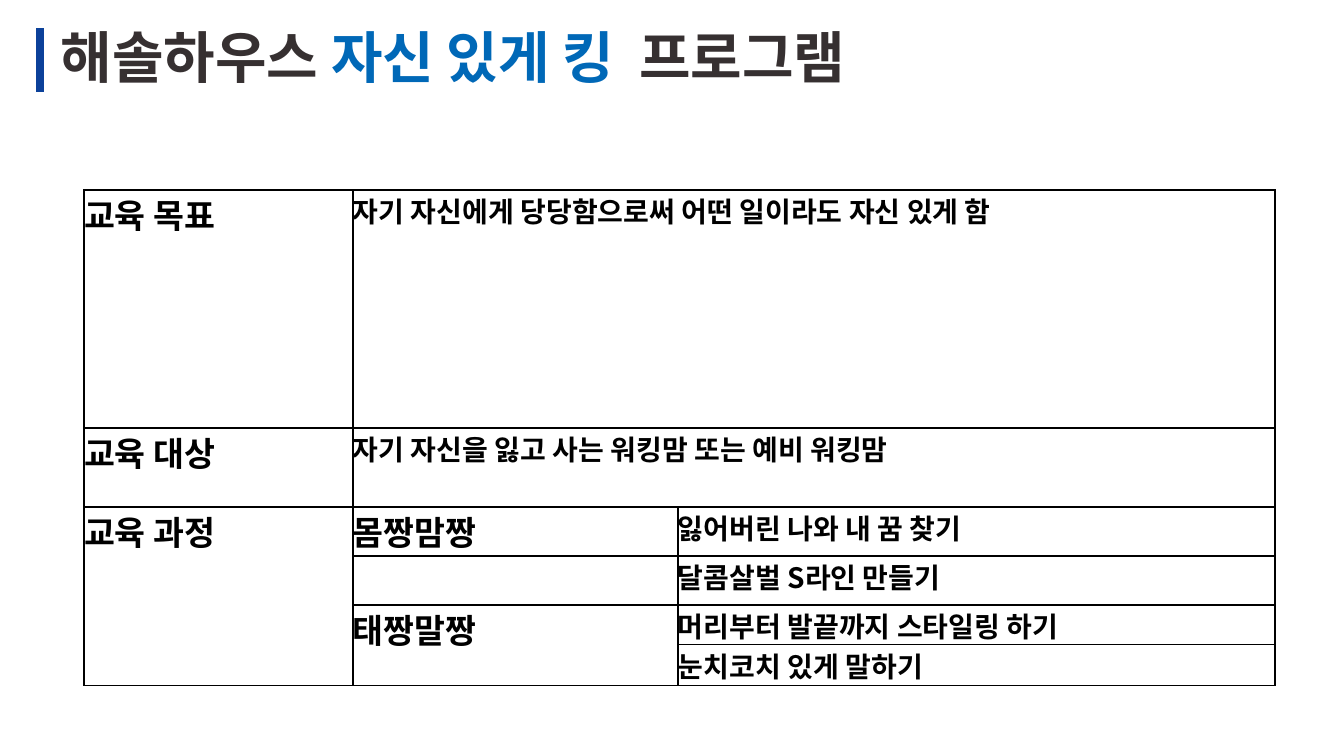
from lxml.etree import SubElement
from pptx import Presentation
from pptx.dml.color import RGBColor
from pptx.enum.shapes import MSO_CONNECTOR as Connector
from pptx.enum.text import MSO_ANCHOR as Anchor, MSO_AUTO_SIZE as AutoSize, PP_ALIGN as Align
from pptx.oxml.ns import qn
from pptx.util import Emu, Pt

THEME = {
    "font": "Noto Sans CJK KR",
    "ink": "363031", "blue": "0068B7", "bar": "0C419A",
    "black": "000000", "white": "FFFFFF",
    "title": 40, "label": 24, "body": 20,
}


def px(length):
    return Emu(round(length * 914400 / 100.8))


def add_span(para, text, size, color):
    span = para.add_run()
    span.text = text
    font = span.font
    font.name, font.size, font.bold = THEME["font"], Pt(THEME[size]), True
    font.color.rgb = RGBColor.from_string(THEME[color])
    SubElement(font._element, qn("a:ea"), typeface=THEME["font"])


deck = Presentation()
deck.slide_width, deck.slide_height = px(1344), px(756)
page = deck.slides.add_slide(deck.slide_layouts[5])

# Bar beside the title
bar = page.shapes.add_connector(Connector.STRAIGHT, px(40), px(92), px(40), px(28))
bar.line.color.rgb = RGBColor.from_string(THEME["bar"])
bar.line.width = Pt(6)
SubElement(bar._element.spPr, qn("a:effectLst"))

# Title
title = page.shapes.title
title.left, title.top, title.width, title.height = px(61), px(30), px(1159), px(61)
frame = title.text_frame
frame.margin_left = frame.margin_top = frame.margin_right = frame.margin_bottom = 0
frame.vertical_anchor = Anchor.MIDDLE
frame.word_wrap = True
frame.auto_size = AutoSize.SHAPE_TO_FIT_TEXT
para = frame.paragraphs[0]
para.alignment, para.line_spacing = Align.LEFT, 0.9
for text, color in [("해솔하우스 ", "ink"), ("자신 있게 킹  ", "blue"), ("프로그램", "ink")]:
    add_span(para, text, "title", color)

# Programme table: size and merges
columns = [269, 325, 597]
rows = [238, 79, 49, 49, 40, 41]
table = page.shapes.add_table(len(rows), len(columns), px(84), px(190),
                              px(sum(columns)), px(sum(rows))).table
table.first_row = table.horz_banding = False
for column, width in zip(table.columns, columns):
    column.width = px(width)
for row, height in zip(table.rows, rows):
    row.height = px(height)
for first, last in [((0, 1), (0, 2)), ((1, 1), (1, 2)), ((2, 0), (5, 0)), ((4, 1), (5, 1))]:
    table.cell(*first).merge(table.cell(*last))

# Cell margins, borders and fill
for cell in table.iter_cells():
    cell.margin_left = cell.margin_top = cell.margin_right = cell.margin_bottom = 0
    props = cell._tc.get_or_add_tcPr()
    for side in ("lnL", "lnR", "lnT", "lnB"):
        border = SubElement(props, qn(f"a:{side}"), w=str(Pt(1)))
        paint = SubElement(border, qn("a:solidFill"))
        SubElement(paint, qn("a:srgbClr"), val=THEME["black"])
    cell.fill.solid()
    cell.fill.fore_color.rgb = RGBColor.from_string(THEME["white"])

# Cell text
entries = [
    (0, 0, "교육 목표", "label"),
    (0, 1, "자기 자신에게 당당함으로써 어떤 일이라도 자신 있게 함", "body"),
    (1, 0, "교육 대상", "label"),
    (1, 1, "자기 자신을 잃고 사는 워킹맘 또는 예비 워킹맘", "body"),
    (2, 0, "교육 과정", "label"),
    (2, 1, "몸짱맘짱", "label"),
    (2, 2, "잃어버린 나와 내 꿈 찾기", "body"),
    (3, 2, "달콤살벌 S라인 만들기", "body"),
    (4, 1, "태짱말짱", "label"),
    (4, 2, "머리부터 발끝까지 스타일링 하기", "body"),
    (5, 2, "눈치코치 있게 말하기", "body"),
]
for row, column, text, size in entries:
    add_span(table.cell(row, column).text_frame.paragraphs[0], text, size, "black")

deck.save("out.pptx")
